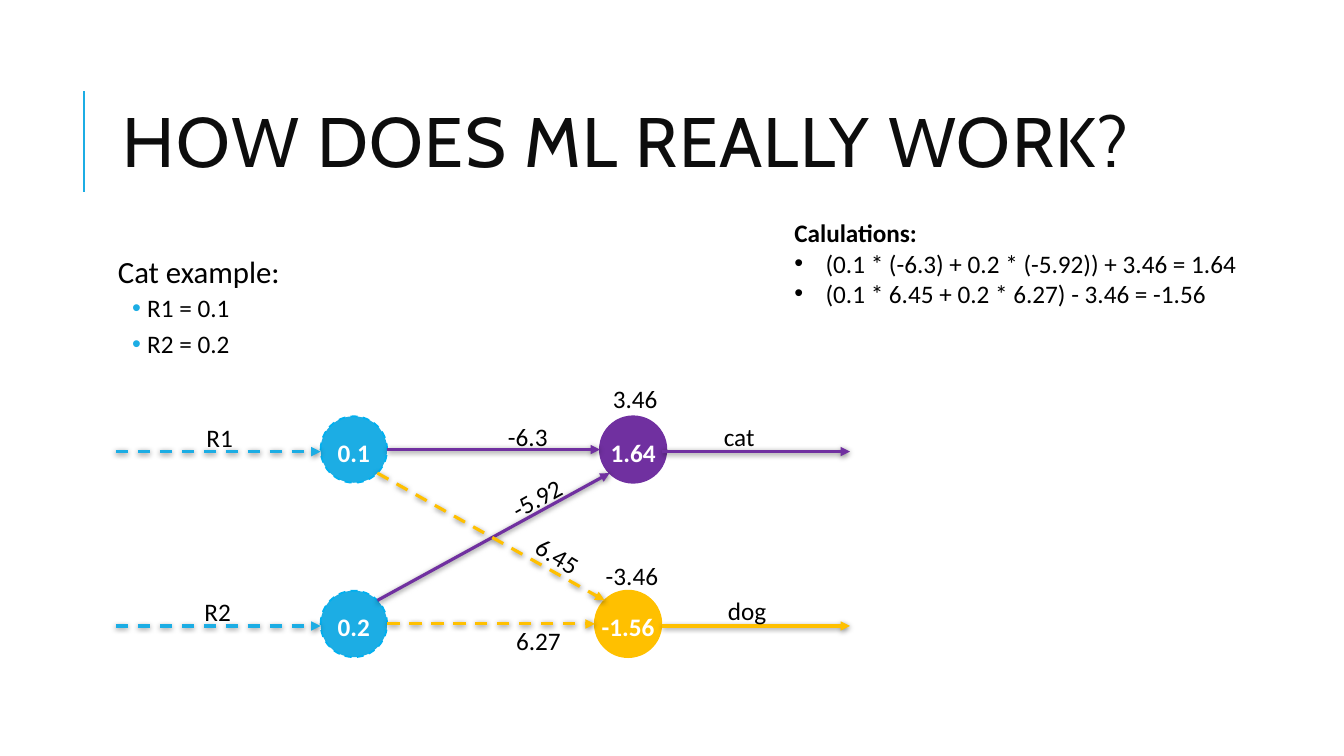
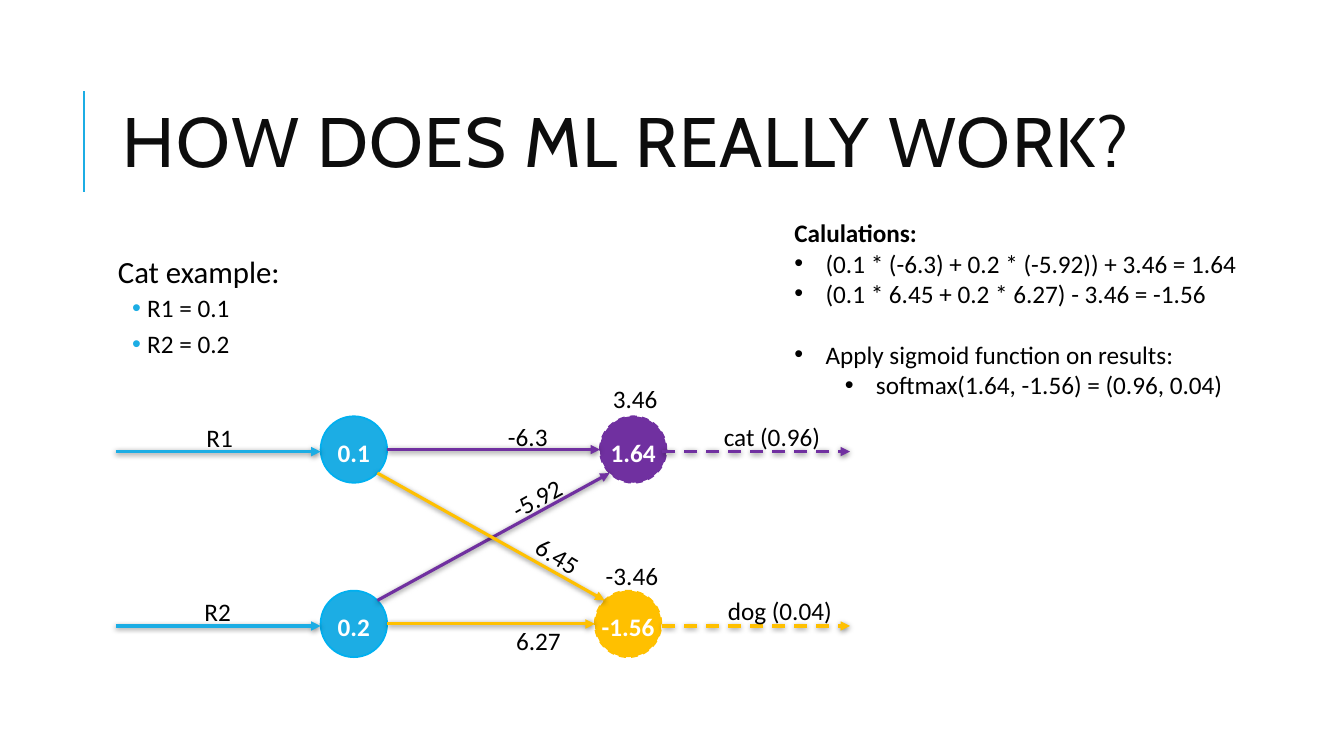
from math import sqrt

from lxml.etree import SubElement
from pptx import Presentation
from pptx.dml.color import RGBColor
from pptx.enum.dml import MSO_LINE
from pptx.enum.shapes import MSO_CONNECTOR, MSO_SHAPE
from pptx.enum.text import MSO_ANCHOR, MSO_AUTO_SIZE, PP_ALIGN
from pptx.oxml.ns import qn
from pptx.util import Emu, Inches, Pt

BLUE = RGBColor(0x1C, 0xAD, 0xE4)
RIM_BLUE = RGBColor(0x00, 0xB0, 0xF0)
PURPLE = RGBColor(0x70, 0x30, 0xA0)
GOLD = RGBColor(0xFF, 0xC0, 0x00)
INK = RGBColor(0x0D, 0x0D, 0x0D)
BLACK = RGBColor(0, 0, 0)
WHITE = RGBColor(0xFF, 0xFF, 0xFF)
TITLE_FONT, BODY_FONT = "Cabin", "Calibri"

TITLE = "HOW DOES ML REALLY WORK?"
EXAMPLE_HEAD, EXAMPLE_VALUES = "Cat example:", ["R1 = 0.1", "R2 = 0.2"]
# Each calculation: text, left margin in inches, space before in points
CALCULATIONS = [
    ("(0.1 * (-6.3) + 0.2 * (-5.92)) + 3.46 = 1.64", 0.31, 0),
    ("(0.1 * 6.45 + 0.2 * 6.27) - 3.46 = -1.56", 0.31, 0),
]
SOFTMAX = [
    ("Apply sigmoid function on results:", 0.31, 22),
    ("softmax(1.64, -1.56) = (0.96, 0.04)", 0.81, 0),
]

# Network geometry in inches
RADIUS = 0.33
CAT_ROW, DOG_ROW = 4.46, 6.19
IN_COLUMN, OUT_LEFT, OUT_RIGHT = 3.51, 6.57, 8.43
IN_LEFT, SIDE_DROP = 1.15, 0.02
DIAGONAL = RADIUS / sqrt(2)

# name: value, centre x, centre y, fill, rim, stage
NODES = {
    "R1": ("0.1", IN_COLUMN, CAT_ROW, BLUE, RIM_BLUE, "input"),
    "R2": ("0.2", IN_COLUMN, DOG_ROW, BLUE, RIM_BLUE, "input"),
    "cat": ("1.64", 6.28, CAT_ROW, PURPLE, PURPLE, "output"),
    "dog": ("-1.56", 6.23, DOG_ROW, GOLD, GOLD, "output"),
}
# from, to, stage
WEIGHTS = [("R1", "cat", "cat weight"), ("R2", "dog", "dog weight"),
           ("R2", "cat", "cat weight"), ("R1", "dog", "dog weight")]
# text, left, top, width, rotation
LABELS = [
    ("R1", 1.95, 4.14, 0.47, 0), ("R2", 1.93, 5.87, 0.47, 0),
    ("6.45", 5.21, 5.32, 0.67, 31.1), ("-5.92", 4.96, 4.73, 0.76, 330.9),
    ("-6.3", 4.94, 4.13, 0.6, 0), ("6.27", 5.02, 6.15, 0.65, 0),
    ("3.46", 5.98, 3.75, 0.65, 0), ("-3.46", 5.91, 5.51, 0.73, 0),
]
STEPS = [
    {"dashed": {"input", "dog weight"},
     "calculations": CALCULATIONS, "calculation height": 1.31,
     "results": [("cat", 7.08, 4.13, 0.51, 0), ("dog", 7.12, 5.86, 0.61, 0)]},
    {"dashed": {"output"},
     "calculations": CALCULATIONS + SOFTMAX, "calculation height": 2.22,
     "results": [("cat (0.96)", 7.08, 4.13, 1.18, 0),
                 ("dog (0.04)", 7.12, 5.86, 1.28, 0)]},
]


def add_span(para, text, size=18, color=BLACK, bold=False, font=BODY_FONT):
    span = para.add_run()
    span.text = text
    span.font.size, span.font.name, span.font.bold = Pt(size), font, bold
    span.font.color.rgb = color
    return span


def add_frame(page, left, top, width, height, wrap=True):
    box = page.shapes.add_textbox(*map(Inches, (left, top, width, height)))
    box.text_frame.word_wrap = wrap
    return box


def set_indent(para, margin, hanging, bullet_color=None):
    """Hang the first line, with a round bullet when a colour is given."""
    props = para._p.get_or_add_pPr()
    props.set("marL", str(Inches(margin)))
    props.set("indent", str(-Inches(hanging)))
    if bullet_color is not None:
        color = SubElement(props, qn("a:buClr"))
        SubElement(color, qn("a:srgbClr"), val=str(bullet_color))
        SubElement(props, qn("a:buFont"), typeface="Arial")
        SubElement(props, qn("a:buChar"), char="•")


def set_spacing(para, line, before, after):
    para.line_spacing = line
    para.space_before, para.space_after = Pt(before), Pt(after)


def add_line(page, start, end, color, width):
    line = page.shapes.add_connector(
        MSO_CONNECTOR.STRAIGHT, *map(Inches, (*start, *end)))
    line.line.color.rgb, line.line.width = color, Pt(width)
    effects = SubElement(line._element.spPr, qn("a:effectLst"))
    return line, effects


def add_arrow(page, start, end, color, dashed):
    arrow, effects = add_line(page, start, end, color, 2.25)
    if dashed:
        arrow.line.dash_style = MSO_LINE.DASH
    SubElement(arrow.line._get_or_add_ln(), qn("a:tailEnd"), type="triangle")
    shadow = SubElement(effects, qn("a:outerShdw"), blurRad=str(Pt(4)),
                        dist=str(Pt(1)), dir="5400000", rotWithShape="0")
    black = SubElement(shadow, qn("a:srgbClr"), val=str(BLACK))
    SubElement(black, qn("a:alpha"), val="50000")


def add_title(page):
    add_line(page, (0.83, 1.9), (0.83, 0.9), BLUE, 1.5)
    frame = add_frame(page, 1.12, 0.64, 10.63, 1.64).text_frame
    frame.vertical_anchor = MSO_ANCHOR.MIDDLE
    para = frame.paragraphs[0]
    para.line_spacing = 0.8
    span = add_span(para, TITLE, 50, INK, font=TITLE_FONT)
    span.font._element.set("spc", "100")


def add_example(page):
    frame = add_frame(page, 1.12, 2.5, 10.63, 4.4).text_frame
    frame.margin_left = frame.margin_right = Inches(0.05)
    frame.margin_top = frame.margin_bottom = Inches(0.05)
    para = frame.paragraphs[0]
    set_indent(para, 0.1, 0.1)
    set_spacing(para, 0.9, 0, 2)
    add_span(para, EXAMPLE_HEAD, 22)
    for value in EXAMPLE_VALUES:
        para = frame.add_paragraph()
        set_indent(para, 0.29, 0.15, BLUE)
        set_spacing(para, 0.9, 2, 4)
        add_span(para, value)


def add_calculations(page, calculations, height):
    frame = add_frame(page, 7.78, 2.11, 5.05, height).text_frame
    add_span(frame.paragraphs[0], "Calulations:", bold=True)
    for text, margin, before in calculations:
        para = frame.add_paragraph()
        set_indent(para, margin, 0.31, BLACK)
        para.space_before = Pt(before)
        add_span(para, text)


def add_node(page, value, x, y, fill, rim, dashed):
    node = page.shapes.add_shape(
        MSO_SHAPE.OVAL, Inches(x - RADIUS), Inches(y - RADIUS),
        Inches(2 * RADIUS), Inches(2 * RADIUS))
    node.shadow.inherit = False
    node.fill.solid()
    node.fill.fore_color.rgb = fill
    node.line.color.rgb, node.line.width = rim, Pt(1.25)
    if dashed:
        node.line.dash_style = MSO_LINE.DASH
    frame = node.text_frame
    frame.word_wrap = False
    frame.margin_left = frame.margin_right = frame.margin_bottom = Emu(0)
    frame.margin_top = Inches(0.05)
    frame.vertical_anchor = MSO_ANCHOR.MIDDLE
    para = frame.paragraphs[0]
    para.alignment = PP_ALIGN.CENTER
    add_span(para, value, color=WHITE, bold=True)


def add_weight(page, source, target, dashed):
    """Join two nodes: side to side in one row, else at their 45° points."""
    _, x1, y1, *_ = NODES[source]
    _, x2, y2, color, *_ = NODES[target]
    slope = (y2 > y1) - (y2 < y1)
    reach = DIAGONAL if slope else RADIUS
    drop = slope * DIAGONAL
    add_arrow(page, (x1 + reach, y1 + drop), (x2 - reach, y2 - drop),
              color, dashed)


def add_label(page, text, left, top, width, rotation):
    box = add_frame(page, left, top, width, 0.4, wrap=False)
    box.text_frame.auto_size = MSO_AUTO_SIZE.SHAPE_TO_FIT_TEXT
    box.rotation = rotation
    add_span(box.text_frame.paragraphs[0], text)


def add_network(page, dashed, results):
    for value, x, y, fill, rim, stage in NODES.values():
        add_node(page, value, x, y, fill, rim, stage in dashed)
    for source, target, stage in WEIGHTS:
        add_weight(page, source, target, stage in dashed)
    for _, x, y, color, _, stage in NODES.values():
        ends = (IN_LEFT, x - RADIUS) if stage == "input" else (OUT_LEFT, OUT_RIGHT)
        start, end = ((edge, y + SIDE_DROP) for edge in ends)
        add_arrow(page, start, end, color, stage in dashed)
    for label in LABELS + results:
        add_label(page, *label)


def main():
    deck = Presentation()
    deck.slide_width, deck.slide_height = Inches(13.33), Inches(7.5)
    for step in STEPS:
        page = deck.slides.add_slide(deck.slide_layouts[6])
        add_title(page)
        add_example(page)
        add_network(page, step["dashed"], step["results"])
        add_calculations(page, step["calculations"], step["calculation height"])
    deck.save("out.pptx")


if __name__ == "__main__":
    main()
